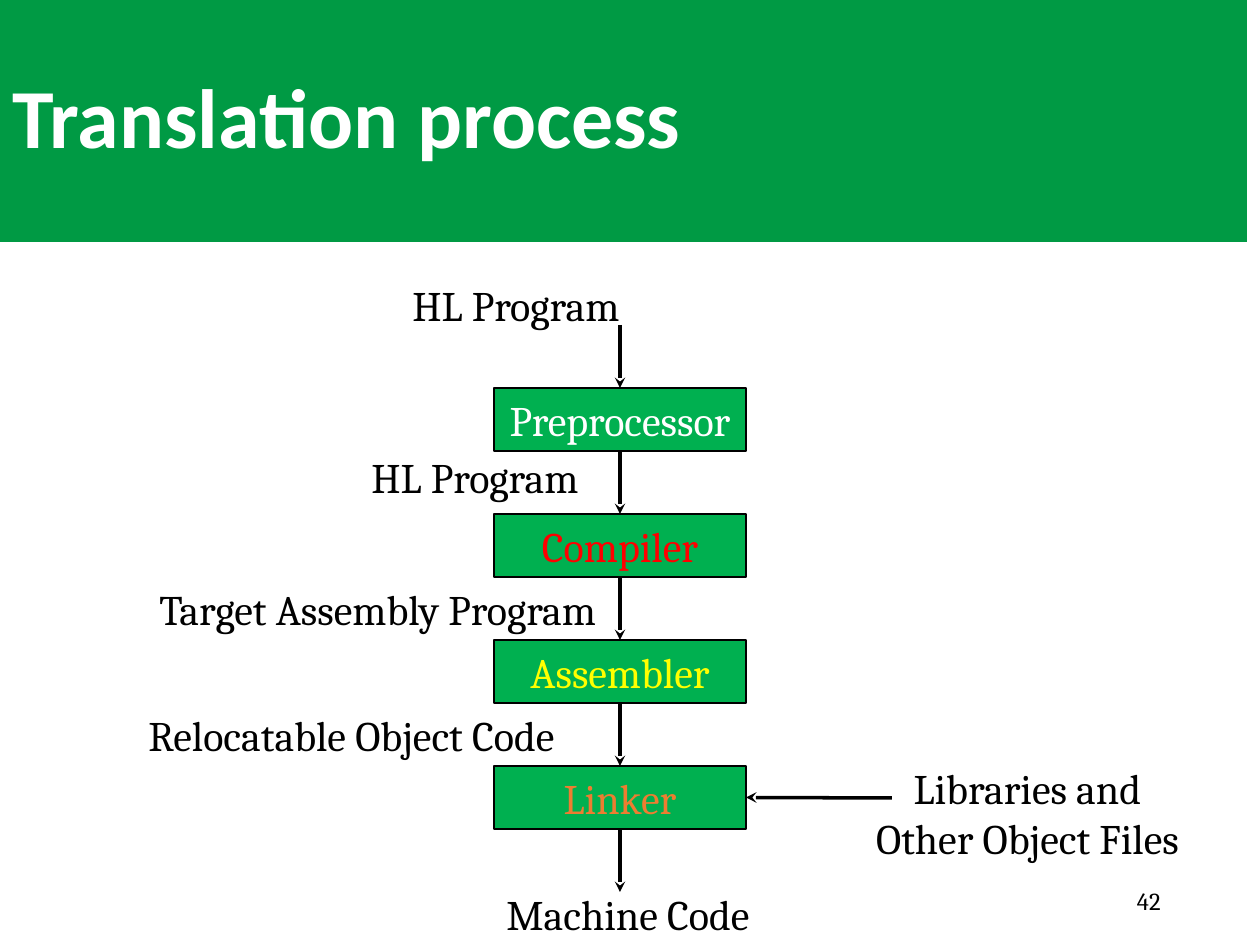
from dataclasses import dataclass

from lxml.etree import SubElement
from pptx import Presentation
from pptx.dml.color import RGBColor
from pptx.enum.shapes import MSO_CONNECTOR as CONN, MSO_SHAPE as SHAPE
from pptx.enum.text import MSO_ANCHOR as ANCHOR, MSO_AUTO_SIZE as FIT, PP_ALIGN as ALIGN
from pptx.oxml.ns import qn
from pptx.util import Emu, Pt

PX_PER_INCH = 126


def px(n):
    return Emu(round(n * 914400 / PX_PER_INCH))


@dataclass(frozen=True)
class Theme:
    heading_font: str = "Calibri"
    body_font: str = "Cambria"
    title_size: int = 48
    body_size: int = 24
    number_size: int = 14
    banner: str = "009A44"
    stage: str = "00B050"
    ink: str = "000000"
    white: str = "FFFFFF"
    red: str = "FF0000"
    yellow: str = "FFFF00"
    orange: str = "ED7D31"


class Deck:
    def __init__(self, theme):
        self.theme = theme
        self.prs = Presentation()
        self.prs.slide_width, self.prs.slide_height = px(1260), px(945)
        self.s = self.prs.slides.add_slide(self.prs.slide_layouts[5])

    def set_text(self, sp, text, color, size, font=None, align=ALIGN.LEFT,
                 anchor=ANCHOR.TOP, wrap=False, bold=False):
        tf = sp.text_frame
        tf.text = text
        tf.word_wrap, tf.vertical_anchor = wrap, anchor
        for p in tf.paragraphs:
            p.alignment = align
            p.font.name, p.font.size = font or self.theme.body_font, Pt(size)
            p.font.bold = bold
            p.font.color.rgb = RGBColor.from_string(color)

    def set_fill(self, sp, color):
        sp.fill.solid()
        sp.fill.fore_color.rgb = RGBColor.from_string(color)

    def title(self, text, x, y, w, h):
        sp = self.s.shapes.title
        sp.left, sp.top, sp.width, sp.height = map(px, (x, y, w, h))
        self.set_fill(sp, self.theme.banner)
        self.set_text(sp, text, self.theme.white, self.theme.title_size,
                      self.theme.heading_font, anchor=ANCHOR.MIDDLE, wrap=True, bold=True)
        sp.text_frame.auto_size = FIT.NONE
        sp.text_frame.paragraphs[0].line_spacing = 0.9

    def stage(self, text, color, x, y, w, h):
        sp = self.s.shapes.add_shape(SHAPE.RECTANGLE, *map(px, (x, y, w, h)))
        sp.shadow.inherit = False
        self.set_fill(sp, self.theme.stage)
        sp.line.color.rgb = RGBColor.from_string(self.theme.ink)
        sp.line.width = Pt(0.75)
        self.set_text(sp, text, color, self.theme.body_size,
                      align=ALIGN.CENTER, anchor=ANCHOR.MIDDLE)
        return sp

    def label(self, text, x, y, w, h, align=ALIGN.LEFT):
        sp = self.s.shapes.add_textbox(*map(px, (x, y, w, h)))
        self.set_text(sp, text, self.theme.ink, self.theme.body_size, align=align)
        sp.text_frame.auto_size = FIT.SHAPE_TO_FIT_TEXT

    def number(self, text, x, y, w, h):
        sp = self.s.shapes.add_textbox(*map(px, (x, y, w, h)))
        self.set_text(sp, text, self.theme.ink, self.theme.number_size,
                      align=ALIGN.RIGHT, anchor=ANCHOR.MIDDLE, wrap=True)

    def arrow(self, x1, y1, x2, y2, begin=None, end=None):
        """begin and end are (shape, site) pairs to join."""
        c = self.s.shapes.add_connector(CONN.STRAIGHT, *map(px, (x1, y1, x2, y2)))
        c.line.color.rgb = RGBColor.from_string(self.theme.ink)
        c.line.width = Pt(2)
        sp_pr = c.element.spPr
        SubElement(sp_pr.find(qn("a:ln")), qn("a:tailEnd"), type="stealth")
        SubElement(sp_pr, qn("a:effectLst"))
        if begin:
            c.begin_connect(*begin)
        if end:
            c.end_connect(*end)


def main():
    theme = Theme()
    deck = Deck(theme)
    deck.title("Translation process", 0, 0, 1247, 242)

    # Stages, one above the other
    left, top, width, height, gap = 494, 388, 252, 63, 63
    stages = [("Preprocessor", theme.white), ("Compiler", theme.red),
              ("Assembler", theme.yellow), ("Linker", theme.orange)]
    boxes = [deck.stage(text, color, left, top + i * (height + gap), width, height)
             for i, (text, color) in enumerate(stages)]

    # Arrows into each stage and out of the last
    middle = left + width // 2
    for i, (above, below) in enumerate(zip([None] + boxes, boxes + [None])):
        y = top - gap + i * (height + gap)
        deck.arrow(middle, y, middle, y + gap,
                   begin=above and (above, 2), end=below and (below, 0))

    # What passes between the stages
    for text, x, y, w in [("HL Program", 400, 273, 237),
                          ("HL Program", 359, 445, 237),
                          ("Target Assembly Program", 147, 577, 469),
                          ("Relocatable Object Code", 136, 703, 445),
                          ("Machine Code", 494, 882, 273)]:
        deck.label(text, x, y, w, 63)

    # Side input of the linker
    deck.label("Libraries and\nOther Object Files", 858, 756, 339, 115, ALIGN.CENTER)
    deck.arrow(892, 798, left + width, 798, end=(boxes[-1], 3))

    # Slide number
    deck.number("42", 890, 876, 283, 50)
    deck.prs.save("out.pptx")


if __name__ == "__main__":
    main()
